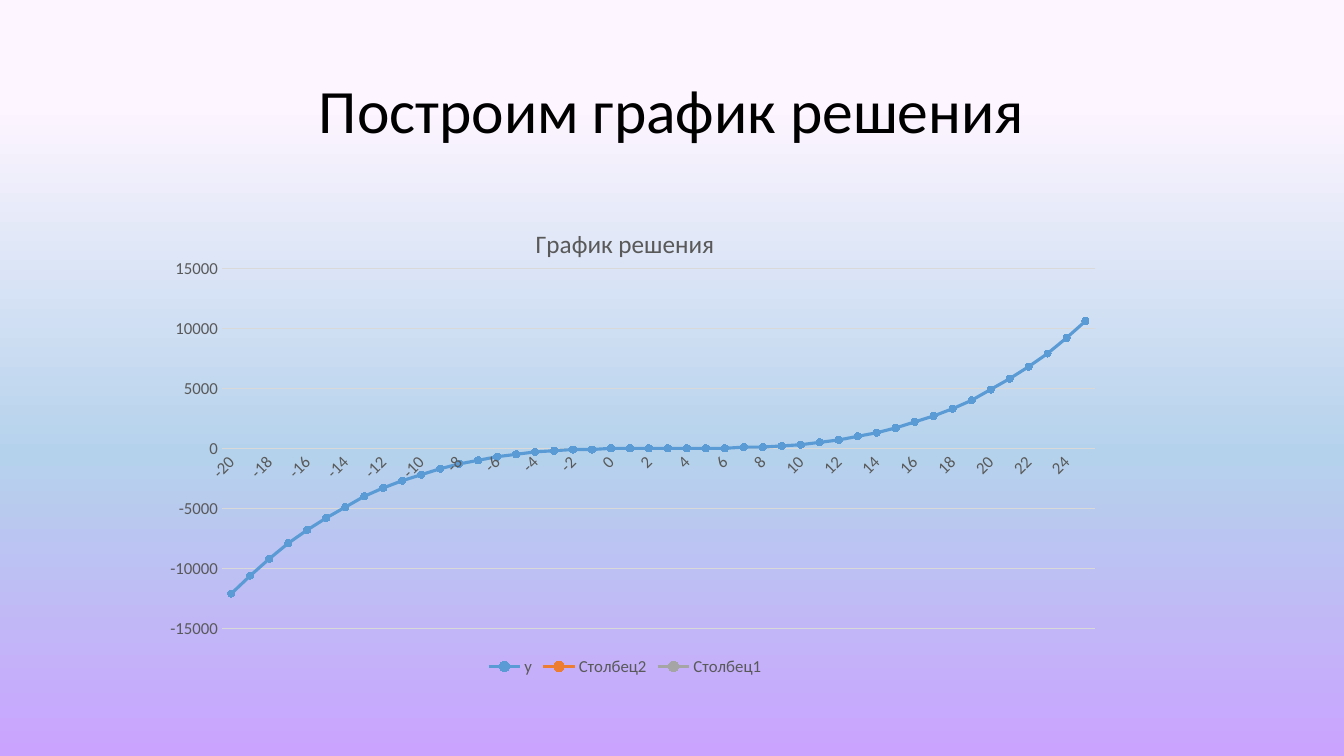
from copy import deepcopy

from lxml import etree
from pptx import Presentation
from pptx.chart.data import CategoryChartData
from pptx.dml.color import RGBColor
from pptx.enum.chart import XL_CHART_TYPE, XL_LEGEND_POSITION, XL_MARKER_STYLE, XL_TICK_MARK
from pptx.enum.text import MSO_ANCHOR, PP_ALIGN
from pptx.oxml import parse_xml
from pptx.oxml.ns import qn
from pptx.util import Cm, Pt

LINE_MARKERS = XL_CHART_TYPE.LINE_MARKERS
BOTTOM = XL_LEGEND_POSITION.BOTTOM
CIRCLE = XL_MARKER_STYLE.CIRCLE
NO_TICK = XL_TICK_MARK.NONE
MIDDLE = MSO_ANCHOR.MIDDLE
CENTER = PP_ALIGN.CENTER

THEME = {
    "font": "Calibri",
    "title": "000000", "title_size": 44,
    "label": "595959", "label_size": 12, "chart_title_size": 18,
    "grid": "D9D9D9",
    "series": ["5B9BD5", "ED7D31", "A5A5A5"],
    "background": [(0.14, "FDF5FF"), (0.6, "B5D2EC"), (1, "CAA3FF")],
}


def rgb(value):
    return RGBColor.from_string(value)


def set_font(font, size, color):
    font.name = THEME["font"]
    font.size = Pt(size)
    font.bold = False
    font.color.rgb = rgb(color)


prs = Presentation()
prs.slide_width, prs.slide_height = Cm(33.87), Cm(19.05)
s = prs.slides.add_slide(prs.slide_layouts[6])

# Background gradient, top to bottom
fill = s.background.fill
fill.gradient()
fill.gradient_angle = 270
stop_list = s.background._cSld.find(".//" + qn("a:gsLst"))
stop_list.append(deepcopy(stop_list[0]))
for stop, (position, color) in zip(fill.gradient_stops, THEME["background"]):
    stop.position = position
    stop.color.rgb = rgb(color)

# Slide title
title = s.shapes.add_textbox(Cm(2.33), Cm(1.01), Cm(29.21), Cm(3.68))
tf = title.text_frame
tf.word_wrap = True
tf.vertical_anchor = MIDDLE
p = tf.paragraphs[0]
p.text = "Построим график решения"
p.alignment = CENTER
p.line_spacing = 0.9
set_font(p.font, THEME["title_size"], THEME["title"])

# Chart data: y = (x - 2)²(x - 5), to the nearest hundred
xs = range(-20, 26)
ys = [((x - 2) ** 2 * (x - 5) + 50) // 100 * 100 for x in xs]
data = CategoryChartData()
data.categories = [str(x) for x in xs]
data.add_series("y", ys)
for name in ("Столбец2", "Столбец1"):
    data.add_series(name, [None] * len(xs))

chart = s.shapes.add_chart(LINE_MARKERS, Cm(3.66), Cm(5.21), Cm(24.18), Cm(11.94), data).chart
set_font(chart.font, 10, THEME["title"])

# Chart title and legend
p = chart.chart_title.text_frame.paragraphs[0]
p.text = "График решения"
set_font(p.font, THEME["chart_title_size"], THEME["label"])
chart.chart_title.include_in_layout = False
chart.has_legend = True
chart.legend.position = BOTTOM
chart.legend.include_in_layout = False
set_font(chart.legend.font, THEME["label_size"], THEME["label"])

# Axes
x_axis, y_axis = chart.category_axis, chart.value_axis
for axis in (x_axis, y_axis):
    axis.major_tick_mark = axis.minor_tick_mark = NO_TICK
    set_font(axis.tick_labels.font, THEME["label_size"], THEME["label"])
y_axis.minimum_scale, y_axis.maximum_scale, y_axis.major_unit = -15000, 15000, 5000
y_axis.format.line.fill.background()
for line in (x_axis.format.line, y_axis.major_gridlines.format.line):
    line.color.rgb = rgb(THEME["grid"])
    line.width = Pt(0.75)

# Slanted labels, every second category
x_axis._element.find(".//" + qn("a:bodyPr")).set("rot", "-2700000")
skip = etree.Element(qn("c:tickLblSkip"), val="2")
x_axis._element.find(qn("c:noMultiLvlLbl")).addprevious(skip)

# Series
for series, color in zip(chart.plots[0].series, THEME["series"]):
    series.smooth = False
    series.format.line.color.rgb = rgb(color)
    series.format.line.width = Pt(2.25)
    marker = series.marker
    marker.style = CIRCLE
    marker.size = 5
    marker.format.fill.solid()
    marker.format.fill.fore_color.rgb = rgb(color)
    marker.format.line.color.rgb = rgb(color)

# Inner plot area
plot_area = chart._chartSpace.find(".//" + qn("c:plotArea"))
for old in plot_area.findall(qn("c:layout")):
    plot_area.remove(old)
plot_area.insert(0, parse_xml(
    '<c:layout xmlns:c="http://schemas.openxmlformats.org/drawingml/2006/chart"><c:manualLayout>'
    '<c:layoutTarget val="inner"/><c:xMode val="edge"/><c:yMode val="edge"/>'
    '<c:x val="0.08"/><c:y val="0.13"/><c:w val="0.91"/><c:h val="0.76"/>'
    '</c:manualLayout></c:layout>'))

prs.save("out.pptx")
